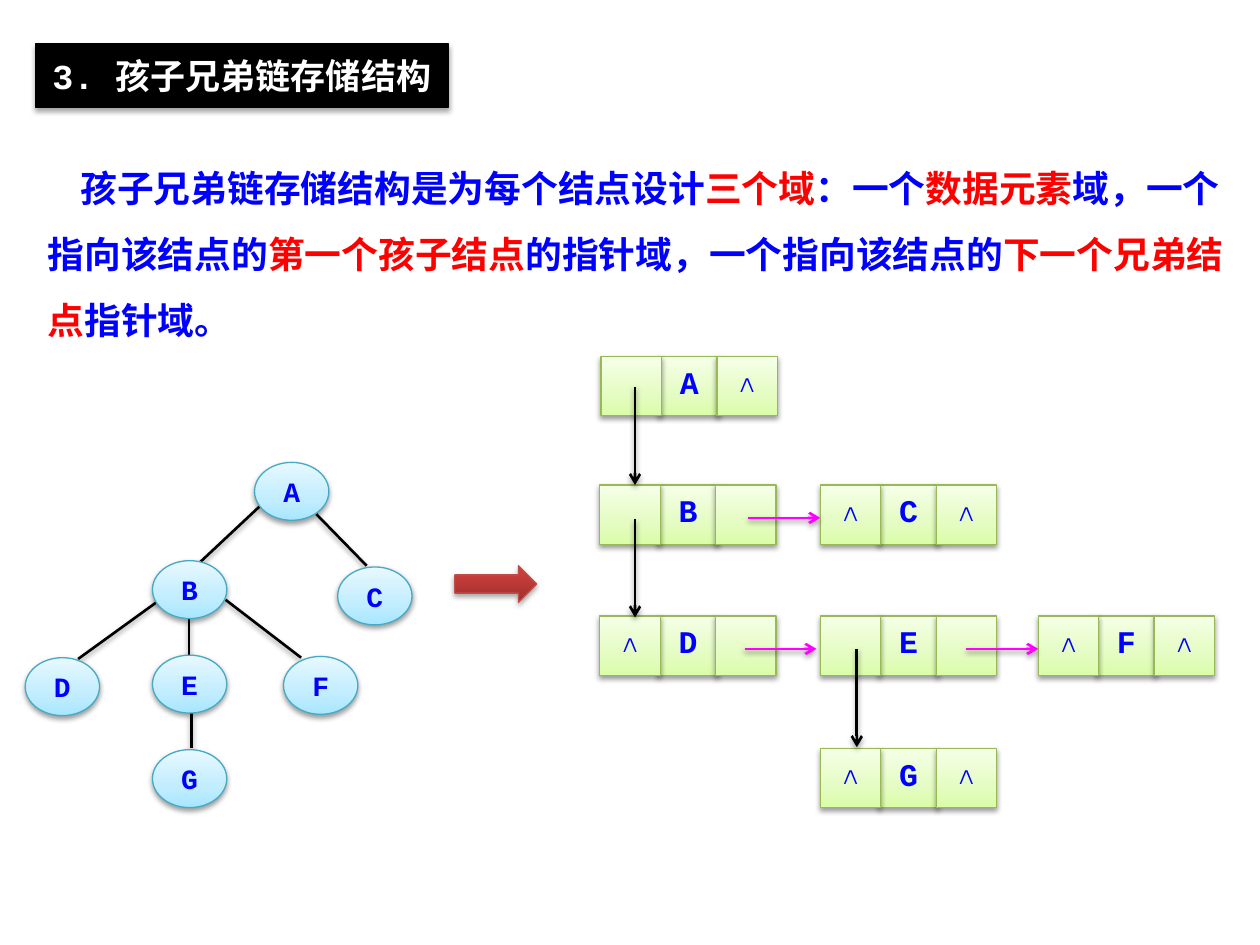
from pptx import Presentation
from pptx.dml.color import RGBColor
from pptx.enum.shapes import MSO_CONNECTOR, MSO_SHAPE
from pptx.enum.text import MSO_ANCHOR, MSO_AUTO_SIZE, PP_ALIGN
from pptx.oxml import parse_xml
from pptx.oxml.ns import nsdecls, qn
from pptx.util import Inches, Pt

FONT = "Courier New"
HUES = {"black": "000000", "white": "FFFFFF", "blue": "0000FF", "red": "FF0000",
        "pink": "FF00FF", "node": "46AAC5", "cell": "98B955", "arrow": "BF4C48"}
FADES = {"node": [(0, "A7E6FF"), (35, "C1EDFF"), (100, "E7F8FF")],
         "cell": [(0, "DAFDA7"), (35, "E4FCC2"), (100, "F5FFE7")],
         "arrow": [(0, "9C2F2D"), (80, "CB3E3A"), (100, "CE3B37")]}
BODY = [("孩子兄弟链存储结构是为每个结点设计", "blue"), ("三个域", "red"),
        ("：一个", "blue"), ("数据元素", "red"), ("域，一个指向该结点的", "blue"),
        ("第一个孩子结点", "red"), ("的指针域，一个指向该结点的", "blue"),
        ("下一个兄弟结点", "red"), ("指针域。", "blue")]
NODES = {"A": (2.02, 3.67), "B": (1.21, 4.45), "C": (2.68, 4.5), "F": (2.25, 5.21),
         "D": (0.2, 5.22), "E": (1.21, 5.2), "G": (1.21, 5.95)}
EDGES = [(1.27, 4.76, 0.62, 5.23), (1.52, 5.66, 1.52, 5.94), (2.06, 4.02, 1.59, 4.46),
         (2.51, 4.08, 2.91, 4.49), (1.5, 4.9, 1.5, 5.2), (1.79, 4.76, 2.39, 5.22)]
RECORDS = [("A", 4.77, 2.83, "", "∧"), ("B", 4.76, 3.85, "", ""),
           ("D", 4.76, 4.89, "∧", ""), ("G", 6.51, 5.94, "∧", "∧"),
           ("C", 6.51, 3.85, "∧", "∧"), ("E", 6.51, 4.89, "", ""),
           ("F", 8.24, 4.89, "∧", "∧")]
CHILD = [(5.04, 3.07), (5.04, 4.12), (6.8, 5.15)]
NEXT = [(5.94, 4.11), (5.91, 5.15), (7.67, 5.15)]


def hue(name):
    """Return the named colour."""
    return RGBColor.from_string(HUES[name])


def shade(item, alpha=38, dist=1.6):
    """Give an item a soft shadow below it."""
    item.element.spPr.append(parse_xml(
        f'<a:effectLst {nsdecls("a")}><a:outerShdw blurRad="{Pt(3.1)}" '
        f'dist="{Pt(dist)}" dir="5400000" rotWithShape="0"><a:srgbClr val="000000">'
        f'<a:alpha val="{alpha * 1000}"/></a:srgbClr></a:outerShdw></a:effectLst>'))


def fade(shape, name):
    """Fill a shape with an upward gradient of the named stops."""
    shape.fill.gradient()
    shape.fill.gradient_angle = 90
    stops = shape.element.spPr.find(".//" + qn("a:gsLst"))
    stops.clear()
    for pos, tint in FADES[name]:
        stops.append(parse_xml(f'<a:gs {nsdecls("a")} pos="{pos * 1000}">'
                               f'<a:srgbClr val="{tint}"/></a:gs>'))


def style(para, size, name=None):
    """Set the font of a paragraph."""
    font = para.font
    font.name, font.size, font.bold = FONT, Pt(size), True
    if name:
        font.color.rgb = hue(name)


def add_box(shapes, kind, box, look, alpha=38, dist=1.6):
    """Add a gradient shape with a thin outline and a shadow."""
    shape = shapes.add_shape(kind, *map(Inches, box))
    fade(shape, look)
    shape.line.color.rgb = hue(look)
    shape.line.width = Pt(0.75)
    shade(shape, alpha, dist)
    return shape


def label(shape, text, size, top=0):
    """Write a centred blue label without side margins."""
    frame = shape.text_frame
    frame.margin_left = frame.margin_right = frame.margin_bottom = 0
    frame.margin_top = Inches(top)
    frame.vertical_anchor = MSO_ANCHOR.TOP if top else MSO_ANCHOR.MIDDLE
    para = frame.paragraphs[0]
    para.text, para.alignment = text, PP_ALIGN.CENTER
    style(para, size, "blue")
    return para


def add_line(shapes, ends, name="black", head=False):
    """Add a straight line, with an arrowhead if asked."""
    line = shapes.add_connector(MSO_CONNECTOR.STRAIGHT, *map(Inches, ends))
    line.line.color.rgb = hue(name)
    line.line.width = Pt(1.5)
    if head:
        line.element.spPr.find(qn("a:ln")).append(
            parse_xml(f'<a:tailEnd {nsdecls("a")} type="arrow"/>'))
    shade(line)


def add_record(shapes, name, left, top, child, sibling):
    """Add a three-field record: child link, data, sibling link."""
    for col, text in ((1, name), (0, child), (2, sibling)):
        box = (left + 0.46 * col, top, 0.48, 0.47)
        cell = add_box(shapes, MSO_SHAPE.RECTANGLE, box, "cell")
        if text:
            para = label(cell, text, 18, 0.03)
            para.line_spacing = Pt(23 if col == 1 else 22)


def set_title(title):
    """Place and format the heading on its black bar."""
    title.left, title.top, title.width, title.height = map(Inches, (0.28, 0.35, 3.28, 0.5))
    title.fill.solid()
    title.fill.fore_color.rgb = hue("black")
    title.line.color.rgb = hue("black")
    title.line.width = Pt(0.75)
    shade(title, 35, 1.8)
    frame = title.text_frame
    frame.text = "3. 孩子兄弟链存储结构"
    frame.word_wrap, frame.auto_size = False, MSO_AUTO_SIZE.NONE
    frame.vertical_anchor = MSO_ANCHOR.MIDDLE
    frame.margin_top = frame.margin_bottom = Inches(0.08)
    para = frame.paragraphs[0]
    para.alignment = PP_ALIGN.CENTER
    style(para, 20, "white")


def add_body(shapes):
    """Add the definition with its key terms in red."""
    frame = shapes.add_textbox(*map(Inches, (0.28, 1.09, 9.61, 1.63))).text_frame
    frame.word_wrap = True
    para = frame.paragraphs[0]
    para.line_spacing = 1.5
    para._p.get_or_add_pPr().set("indent", str(Inches(0.26)))
    style(para, 21)
    for text, name in BODY:
        run = para.add_run()
        run.text = text
        run.font.color.rgb = hue(name)


def add_tree(shapes):
    """Add the tree of round nodes."""
    for ends in EDGES:
        add_line(shapes, ends)
    for name, spot in NODES.items():
        node = add_box(shapes, MSO_SHAPE.OVAL, (*spot, 0.59, 0.46), "node")
        label(node, name, 16)


def add_chain(shapes):
    """Add the linked records and their pointers."""
    for record in RECORDS:
        add_record(shapes, *record)
    for x, y in CHILD:
        add_line(shapes, (x, y, x, y + 0.78), head=True)
    for x, y in NEXT:
        add_line(shapes, (x, y, x + 0.57, y), "pink", True)


def main():
    """Build and save the slide."""
    deck = Presentation()
    deck.slide_width, deck.slide_height = Inches(10), Inches(7.5)
    shapes = deck.slides.add_slide(deck.slide_layouts[5]).shapes
    set_title(shapes.title)
    add_body(shapes)
    add_tree(shapes.add_group_shape().shapes)
    add_box(shapes, MSO_SHAPE.RIGHT_ARROW, (3.61, 4.49, 0.65, 0.29), "arrow", 35, 1.8)
    add_chain(shapes.add_group_shape().shapes)
    deck.save("out.pptx")


if __name__ == "__main__":
    main()
